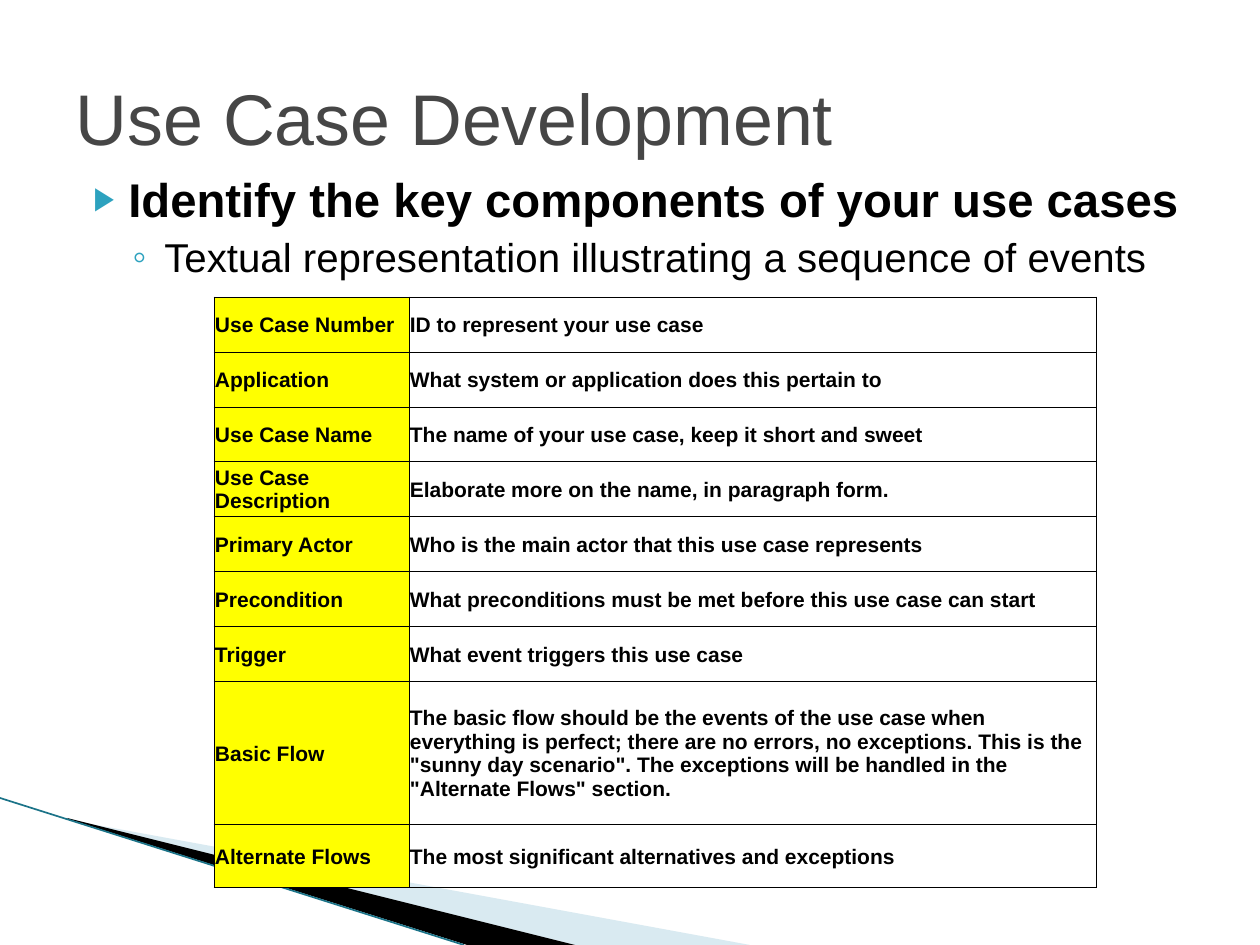
from lxml.etree import SubElement
from pptx import Presentation
from pptx.dml.color import RGBColor
from pptx.enum.shapes import MSO_CONNECTOR as Connector
from pptx.enum.text import MSO_ANCHOR as Anchor, PP_ALIGN as Align
from pptx.oxml.ns import qn
from pptx.util import Pt

TITLE = "Use Case Development"
BULLETS = [
    {"text": "Identify the key components of your use cases", "size": "point", "bold": True,
     "margin": 50, "hanging": 35, "before": 4, "mark": "▶", "mark_percent": 68},
    {"text": "Textual representation illustrating a sequence of events", "size": "detail", "bold": False,
     "margin": 86, "hanging": 32, "before": 3.2, "mark": "◦", "mark_percent": 100},
]
USE_CASE = [
    ("Use Case Number", "ID to represent your use case"),
    ("Application", "What system or application does this pertain to"),
    ("Use Case Name", "The name of your use case, keep it short and sweet"),
    ("Use Case Description", "Elaborate more on the name, in paragraph form."),
    ("Primary Actor", "Who is the main actor that this use case represents"),
    ("Precondition", "What preconditions must be met before this use case can start"),
    ("Trigger", "What event triggers this use case"),
    ("Basic Flow", "The basic flow should be the events of the use case when everything is perfect; "
     "there are no errors, no exceptions. This is the \"sunny day scenario\". "
     "The exceptions will be handled in the \"Alternate Flows\" section."),
    ("Alternate Flows", "The most significant alternatives and exceptions"),
]
THEME = {
    "font": "Arial",
    "colors": {"title": "464646", "text": "000000", "mark": "2DA2BF", "label": "FFFF00",
               "border": "000000", "pale": "A0CBDC", "dark": "000000", "edge": "1B7388"},
    "sizes": {"title": 41, "point": 27, "detail": 23, "cell": 12},
}
SLIDE_SIZE = (1260, 945)
TITLE_BOX = (63, 38, 1134, 157)
BODY_BOX = (66, 164, 1134, 624)
TABLE_ORIGIN = (214, 297)
COLUMN_WIDTHS = (195, 687)
ROW_HEIGHTS = [55] * 7 + [143, 63]
WEDGES = [
    ("pale", 40, [(69, 820), (750, 945), (575, 945), (69, 819)]),
    ("dark", 100, [(67, 818), (575, 945), (467, 945), (68, 819)]),
]
EDGE = (0, 798, 464, 945)


def px(length):
    return round(length * 914400 / 126)


def color(name):
    return RGBColor.from_string(THEME["colors"][name])


def style(paragraph, size, color_name="text", bold=False):
    for run in paragraph.runs:
        run.font.name = THEME["font"]
        run.font.size = Pt(THEME["sizes"][size])
        run.font.bold = bold
        run.font.color.rgb = color(color_name)


def add_title(slide):
    title = slide.shapes.title
    title.left, title.top, title.width, title.height = map(px, TITLE_BOX)
    title.text_frame.text = TITLE
    title.text_frame.vertical_anchor = Anchor.MIDDLE
    paragraph = title.text_frame.paragraphs[0]
    paragraph.alignment = Align.LEFT
    style(paragraph, "title", "title")


def add_wedge(slide, color_name, opacity, points):
    corners = [(px(x), px(y)) for x, y in points]
    builder = slide.shapes.build_freeform(*corners[0])
    builder.add_line_segments(corners[1:], close=True)
    shape = builder.convert_to_shape()
    shape.shadow.inherit = False
    shape.line.fill.background()
    shape.fill.solid()
    shape.fill.fore_color.rgb = color(color_name)
    if opacity < 100:
        fill_color = shape._element.spPr.find(".//" + qn("a:srgbClr"))
        SubElement(fill_color, qn("a:alpha"), val=str(opacity * 1000))


def add_edge(slide):
    edge = slide.shapes.add_connector(Connector.STRAIGHT, *map(px, EDGE))
    edge.line.color.rgb = color("edge")
    edge.line.width = Pt(0.95)
    SubElement(edge._element.spPr, qn("a:effectLst"))


def add_bullets(slide):
    frame = slide.shapes.add_textbox(*map(px, BODY_BOX)).text_frame
    frame.word_wrap = True
    frame.text = "\n".join(bullet["text"] for bullet in BULLETS)
    for level, (paragraph, bullet) in enumerate(zip(frame.paragraphs, BULLETS)):
        paragraph.level = level
        paragraph.space_before = Pt(bullet["before"])
        style(paragraph, bullet["size"], bold=bullet["bold"])
        properties = paragraph._p.get_or_add_pPr()
        properties.set("marL", str(px(bullet["margin"])))
        properties.set("indent", str(-px(bullet["hanging"])))
        mark_color = SubElement(properties, qn("a:buClr"))
        SubElement(mark_color, qn("a:srgbClr"), val=THEME["colors"]["mark"])
        SubElement(properties, qn("a:buSzPct"), val=str(bullet["mark_percent"] * 1000))
        SubElement(properties, qn("a:buFont"), typeface=THEME["font"])
        SubElement(properties, qn("a:buChar"), char=bullet["mark"])


def add_borders(cell):
    properties = cell._tc.get_or_add_tcPr()
    for side in ("lnL", "lnR", "lnT", "lnB"):
        border = SubElement(properties, qn("a:" + side), w=str(Pt(0.5)))
        fill = SubElement(border, qn("a:solidFill"))
        SubElement(fill, qn("a:srgbClr"), val=THEME["colors"]["border"])


def fill_cell(cell, text, is_label):
    cell.text_frame.text = text
    cell.vertical_anchor = Anchor.MIDDLE
    cell.margin_left = cell.margin_right = cell.margin_top = px(1)
    cell.margin_bottom = 0
    style(cell.text_frame.paragraphs[0], "cell", bold=True)
    add_borders(cell)
    if is_label:
        cell.fill.solid()
        cell.fill.fore_color.rgb = color("label")
    else:
        cell.fill.background()


def add_use_case_table(slide):
    bounds = (*TABLE_ORIGIN, sum(COLUMN_WIDTHS), sum(ROW_HEIGHTS))
    table = slide.shapes.add_table(len(USE_CASE), len(COLUMN_WIDTHS), *map(px, bounds)).table
    table.first_row = table.horz_banding = False
    for column, width in zip(table.columns, COLUMN_WIDTHS):
        column.width = px(width)
    for row, height, texts in zip(table.rows, ROW_HEIGHTS, USE_CASE):
        row.height = px(height)
        for index, (cell, text) in enumerate(zip(row.cells, texts)):
            fill_cell(cell, text, is_label=index == 0)


def main():
    presentation = Presentation()
    presentation.slide_width, presentation.slide_height = map(px, SLIDE_SIZE)
    slide = presentation.slides.add_slide(presentation.slide_layouts.get_by_name("Title Only"))
    for wedge in WEDGES:
        add_wedge(slide, *wedge)
    add_edge(slide)
    add_bullets(slide)
    add_title(slide)
    add_use_case_table(slide)
    presentation.save("out.pptx")


if __name__ == "__main__":
    main()
